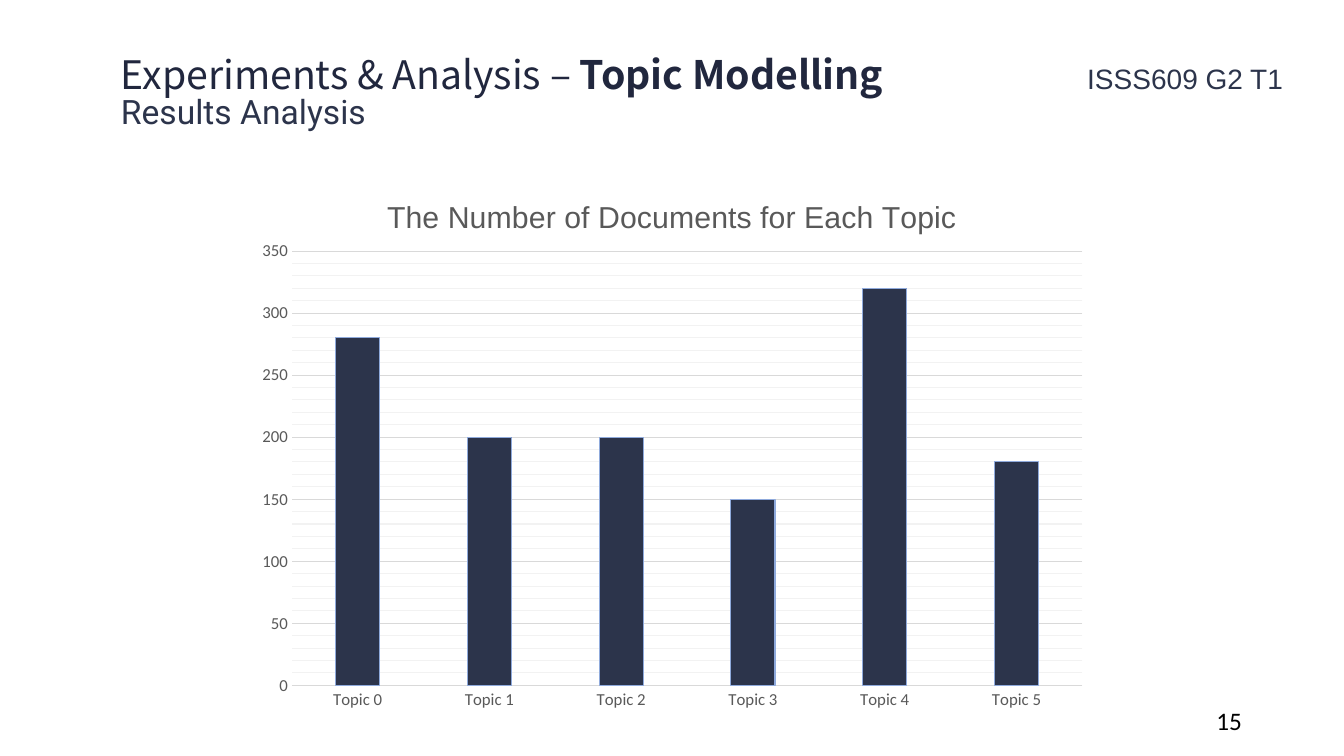
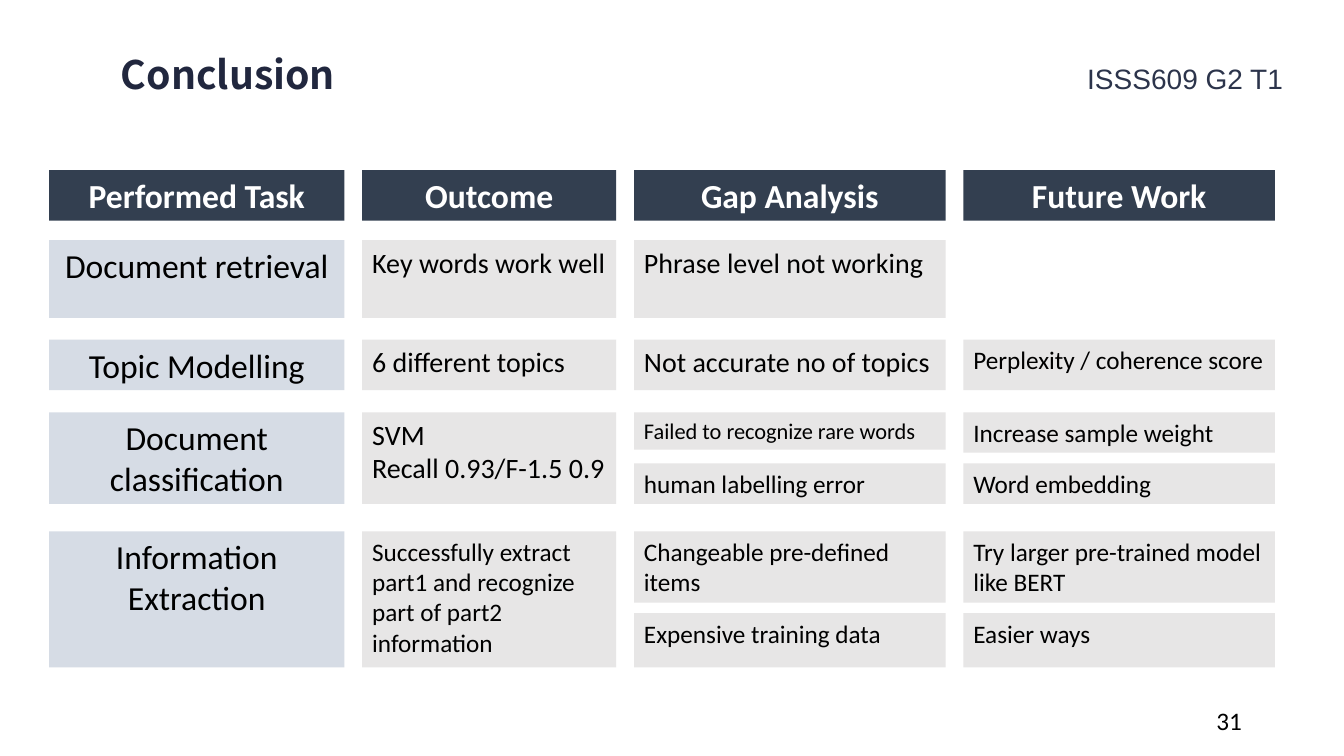
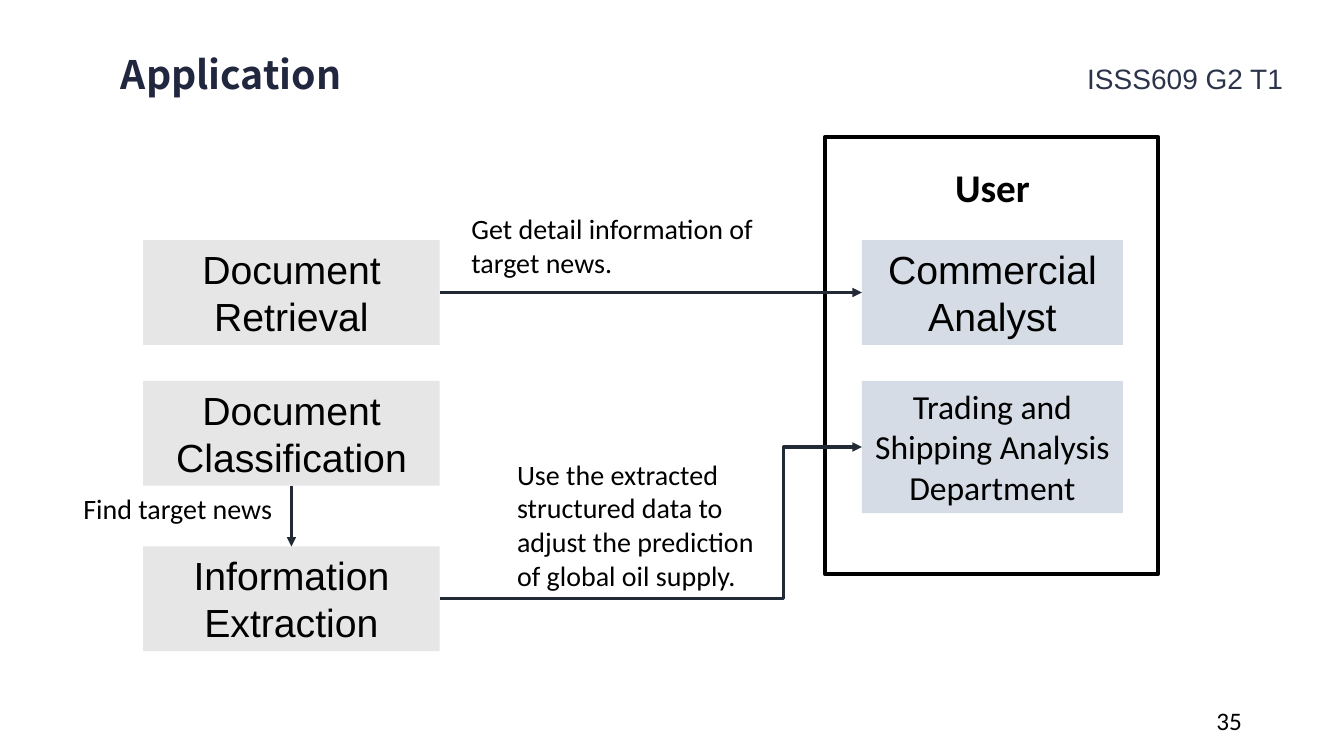
from dataclasses import dataclass

from lxml.etree import SubElement
from pptx import Presentation
from pptx.chart.data import CategoryChartData
from pptx.dml.color import RGBColor
from pptx.enum.chart import XL_CHART_TYPE as ChartType, XL_TICK_MARK as TickMark
from pptx.enum.shapes import MSO_CONNECTOR as Connector, MSO_SHAPE as Shape
from pptx.enum.text import MSO_ANCHOR as Anchor, PP_ALIGN as Align
from pptx.oxml import parse_xml
from pptx.oxml.ns import nsdecls, qn
from pptx.util import Cm, Pt


@dataclass(frozen=True)
class Theme:
    """Colours, fonts and type sizes of the deck."""
    black: str = "000000"
    white: str = "FFFFFF"
    heading: str = "21273E"
    navy: str = "2C344B"
    slate: str = "333F50"
    arrow: str = "222A35"
    pale_blue: str = "D6DCE5"
    pale_grey: str = "E7E6E6"
    chart_text: str = "595959"
    grid: str = "D9D9D9"
    minor_grid: str = "F2F2F2"
    bar_edge: str = "8FAADC"
    body_font: str = "Calibri"
    label_font: str = "Arial"
    heading_font: str = "Noto Sans CJK SC"
    subtitle_font: str = "Roboto"
    title_size: float = 28
    large_size: float = 24
    chart_title_size: float = 21.6
    medium_size: float = 20
    small_size: float = 18
    tiny_size: float = 16
    axis_size: float = 12


THEME = Theme()
LEFT, CENTER, RIGHT = Align.LEFT, Align.CENTER, Align.RIGHT
COLUMN_WIDTHS = (7.44, 6.4, 7.85, 7.85)
COLUMN_GAP = 0.45
TABLE_LEFT = 1.24
HEADERS = ("Performed Task", "Outcome", "Gap Analysis", "Future Work")
ROWS = (
    (6.05, 1.96, "Document retrieval", (
        [("Key words work well", THEME.medium_size, 1.96)],
        [("Phrase level not working", THEME.medium_size, 1.96)],
        [])),
    (8.56, 1.27, "Topic Modelling", (
        [("6 different topics", THEME.medium_size, 1.27)],
        [("Not accurate no of topics", THEME.medium_size, 1.27)],
        [("Perplexity / coherence score", THEME.small_size, 1.27)])),
    (10.39, 2.31, "Document classification", (
        [("SVM\nRecall 0.93/F-1.5 0.9", THEME.medium_size, 2.31)],
        [("Failed to recognize rare words", THEME.tiny_size, 0.94),
         ("human labelling error", THEME.small_size, 1.02)],
        [("Increase sample weight", THEME.small_size, 1.02),
         ("Word embedding", THEME.small_size, 1.02)])),
    (13.39, 3.43, "Information Extraction", (
        [("Successfully extract part1 and recognize part of part2 information",
          THEME.small_size, 3.43)],
        [("Changeable pre-defined items", THEME.small_size, 1.8),
         ("Expensive training data", THEME.small_size, 1.37)],
        [("Try larger pre-trained model like BERT", THEME.small_size, 1.8),
         ("Easier ways", THEME.small_size, 1.37)])),
)


def rgb(code):
    """Turn a hex code into a colour."""
    return RGBColor.from_string(code)


def style_font(font, size, name=THEME.body_font, color=THEME.black, bold=False):
    """Set the face, size and colour of a font."""
    font.name, font.size, font.bold = name, Pt(size), bold
    font.color.rgb = rgb(color)


def add_span(para, text, **style):
    """Add one run of formatted text to a paragraph."""
    span = para.add_run()
    span.text = text
    style_font(span.font, **style)


def write(box, text, align=LEFT, **style):
    """Fill a box with top-anchored text, one paragraph a line."""
    frame = box.text_frame
    frame.word_wrap = True
    frame.vertical_anchor = Anchor.TOP
    for number, line in enumerate(text.split("\n")):
        para = frame.add_paragraph() if number else frame.paragraphs[0]
        para.alignment = align
        add_span(para, line, **style)


def add_text(page, place, text, **style):
    """Add a text box at a place given in centimetres."""
    box = page.shapes.add_textbox(*map(Cm, place))
    write(box, text, **style)
    return box


def add_heading(page, place, spans, leading, **style):
    """Add a heading line without side insets, from (text, bold) spans."""
    frame = page.shapes.add_textbox(*map(Cm, place)).text_frame
    frame.word_wrap = True
    frame.margin_left = frame.margin_right = frame.margin_top = 0
    para = frame.paragraphs[0]
    para.line_spacing = Pt(leading)
    for text, bold in spans:
        add_span(para, text, bold=bold, **style)


def add_panel(page, place, fill=None, edge=None):
    """Add a flat rectangle with an optional fill and outline."""
    box = page.shapes.add_shape(Shape.RECTANGLE, *map(Cm, place))
    box.shadow.inherit = False
    if fill:
        box.fill.solid()
        box.fill.fore_color.rgb = rgb(fill)
    else:
        box.fill.background()
    if edge:
        box.line.color.rgb = rgb(edge)
        box.line.width = Pt(3)
    else:
        box.line.fill.background()
    return box


def add_card(page, place, text, fill, **style):
    """Add a filled rectangle with text."""
    box = add_panel(page, place, fill)
    write(box, text, **style)
    return box


def add_arrow(page, start, end, bend=None):
    """Join (box, site) pairs with an arrow, bent at a share of its width."""
    kind = Connector.ELBOW if bend else Connector.STRAIGHT
    arrow = page.shapes.add_connector(kind, 0, 0, 0, 0)
    arrow.begin_connect(*start)
    arrow.end_connect(*end)
    arrow.line.color.rgb = rgb(THEME.arrow)
    arrow.line.width = Pt(2.25)
    properties = arrow._element.spPr
    SubElement(properties.find(qn("a:ln")), qn("a:tailEnd"), type="triangle")
    SubElement(properties, qn("a:effectLst"))
    if bend:
        guides = properties.find(qn("a:prstGeom")).find(qn("a:avLst"))
        SubElement(guides, qn("a:gd"), name="adj1", fmla=f"val {round(bend * 100000)}")


def add_page(deck, number, *title):
    """Add a slide with its title, course label and page number."""
    page = deck.slides.add_slide(deck.slide_layouts[6])
    add_text(page, (27.15, 1.42, 6, 1.12), "ISSS609 G2 T1", size=THEME.medium_size,
             name=THEME.label_font, color=THEME.navy)
    add_text(page, (23.93, 17.65, 7.62, 1.02), number, size=THEME.small_size, align=RIGHT)
    add_heading(page, (3.05, 1.19, 20.4, 1.32), title, 36, size=THEME.title_size,
                name=THEME.heading_font, color=THEME.heading)
    return page


def set_layout(parent, x, y, width=None, height=None):
    """Place a chart part by shares of the chart area."""
    for old in parent.findall(qn("c:layout")):
        parent.remove(old)
    target = '<c:layoutTarget val="inner"/>' if width else ""
    size = f'<c:w val="{width}"/><c:h val="{height}"/>' if width else ""
    layout = parse_xml(
        f'<c:layout {nsdecls("c")}><c:manualLayout>{target}<c:xMode val="edge"/>'
        f'<c:yMode val="edge"/><c:x val="{x}"/><c:y val="{y}"/>{size}'
        '</c:manualLayout></c:layout>')
    text = parent.find(qn("c:tx"))
    if text is None:
        parent.insert(0, layout)
    else:
        text.addnext(layout)


def style_line(line, color):
    """Give a chart line its colour and a thin width."""
    line.color.rgb = rgb(color)
    line.width = Pt(0.75)


def add_minor_gridlines(axis, color):
    """Show thin minor gridlines in a colour."""
    axis.has_minor_gridlines = True
    axis._element.find(qn("c:minorGridlines")).append(parse_xml(
        f'<c:spPr {nsdecls("c", "a")}><a:ln w="{Pt(0.75)}"><a:solidFill>'
        f'<a:srgbClr val="{color}"/></a:solidFill></a:ln></c:spPr>'))


def add_column_chart(page, place, title, categories, values):
    """Add a single-series column chart with major and minor gridlines."""
    data = CategoryChartData()
    data.categories = categories
    data.add_series("Series 1", values)
    chart = page.shapes.add_chart(ChartType.COLUMN_CLUSTERED, *map(Cm, place), data).chart
    style_font(chart.font, THEME.axis_size, color=THEME.chart_text)
    chart.has_legend = False
    chart.has_title = True
    add_span(chart.chart_title.text_frame.paragraphs[0], title, size=THEME.chart_title_size,
             name=THEME.label_font, color=THEME.chart_text)
    set_layout(chart.chart_title._element, 0.16, 0.04)
    set_layout(chart._chartSpace.chart.plotArea, 0.055, 0.147, 0.925, 0.789)
    for axis in (chart.category_axis, chart.value_axis):
        axis.major_tick_mark = axis.minor_tick_mark = TickMark.NONE
        style_font(axis.tick_labels.font, THEME.axis_size, color=THEME.chart_text)
    style_line(chart.category_axis.format.line, THEME.grid)
    scale = chart.value_axis
    scale.minimum_scale, scale.maximum_scale = 0, 350
    scale.major_unit, scale.minor_unit = 50, 10
    scale.format.line.fill.background()
    scale.has_major_gridlines = True
    style_line(scale.major_gridlines.format.line, THEME.grid)
    add_minor_gridlines(scale, THEME.minor_grid)
    plot = chart.plots[0]
    plot.gap_width = 199
    plot.vary_by_categories = False
    bars = plot.series[0].format
    bars.fill.solid()
    bars.fill.fore_color.rgb = rgb(THEME.navy)
    style_line(bars.line, THEME.bar_edge)


def build_topics(deck):
    """Build the topic modelling results slide."""
    page = add_page(deck, "15", ("Experiments & Analysis – ", False), ("Topic Modelling", True))
    add_heading(page, (3.05, 2.49, 11.84, 0.99), [("Results Analysis", False)], 23,
                size=THEME.large_size, name=THEME.subtitle_font, color=THEME.navy)
    add_column_chart(page, (6.17, 4.29, 21.54, 13.87), "The Number of Documents for Each Topic",
                     [f"Topic {number}" for number in range(6)], (280, 200, 200, 150, 320, 180))


def build_conclusion(deck):
    """Build the grid of tasks, outcomes, gaps and future work."""
    page = add_page(deck, "31", ("Conclusion", True))
    lefts = [TABLE_LEFT + sum(COLUMN_WIDTHS[:index]) + index * COLUMN_GAP
             for index in range(len(COLUMN_WIDTHS))]
    columns = list(zip(lefts, COLUMN_WIDTHS))
    for (left, width), header in zip(columns, HEADERS):
        add_card(page, (left, 4.29, width, 1.27), header, THEME.slate, size=THEME.large_size,
                 color=THEME.white, bold=True, align=CENTER)
    for top, height, task, cells in ROWS:
        add_card(page, (TABLE_LEFT, top, COLUMN_WIDTHS[0], height), task, THEME.pale_blue,
                 size=THEME.large_size, align=CENTER)
        for (left, width), stack in zip(columns[1:], cells):
            for index, (text, size, tall) in enumerate(stack):
                offset = height - tall if index else 0
                add_card(page, (left, top + offset, width, tall), text, THEME.pale_grey,
                         size=size)


def build_application(deck):
    """Build the flow from the three tasks to their users."""
    page = add_page(deck, "35", ("Application", True))
    add_panel(page, (20.8, 3.45, 8.38, 11.02), edge=THEME.black)
    add_text(page, (21.72, 3.99, 6.58, 1.45), "User", size=THEME.title_size, bold=True,
             align=CENTER)
    retrieval, classification, extraction = [
        add_card(page, (3.61, top, 7.47, 2.64), text, THEME.pale_grey, size=THEME.title_size,
                 name=THEME.label_font, align=CENTER)
        for top, text in ((6.05, "Document Retrieval"), (9.6, "Document Classification"),
                          (13.77, "Information Extraction"))]
    analyst = add_card(page, (21.72, 6.05, 6.58, 2.64), "Commercial Analyst", THEME.pale_blue,
                       size=THEME.title_size, name=THEME.label_font, align=CENTER)
    trading = add_card(page, (21.72, 9.6, 6.58, 3.33), "Trading and Shipping Analysis Department",
                       THEME.pale_blue, size=THEME.large_size, align=CENTER)
    for place, text in (
            ((11.63, 5.21, 8.59, 1.96), "Get detail information of target news."),
            ((1.85, 12.27, 5.94, 1.12), "Find target news"),
            ((12.78, 11.4, 7.09, 3.68), "Use the extracted structured data to adjust "
                                        "the prediction of global oil supply.")):
        add_text(page, place, text, size=THEME.medium_size)
    top_site, left_site, bottom_site, right_site = range(4)
    add_arrow(page, (retrieval, right_site), (analyst, left_site))
    add_arrow(page, (classification, bottom_site), (extraction, top_site))
    add_arrow(page, (extraction, right_site), (trading, left_site), bend=0.815)


def main():
    """Build and save the deck."""
    deck = Presentation()
    deck.slide_width, deck.slide_height = Cm(33.87), Cm(19.05)
    build_topics(deck)
    build_conclusion(deck)
    build_application(deck)
    deck.save("out.pptx")


if __name__ == "__main__":
    main()
